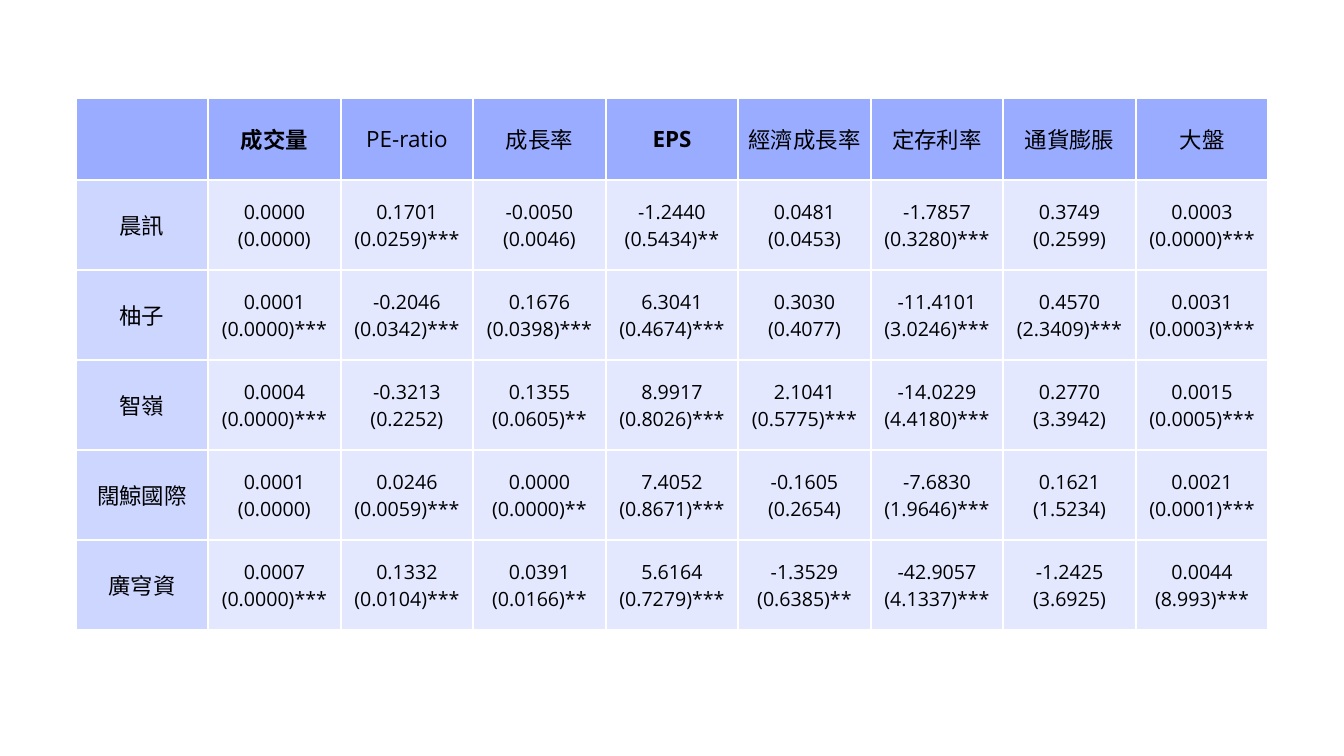
import pptx
import pptx.dml.color
import pptx.enum.text
import pptx.oxml.ns
import pptx.util
from lxml import etree

EMU_PER_PX = 9525
SLIDE_WIDTH, SLIDE_HEIGHT = 1920, 1080
TABLE_TOP, TABLE_WIDTH = 140, 1704
HEADER_HEIGHT, BODY_HEIGHT = 117, 643
FONT = "Open Sans"
COLORS = {
    "header": "99ACFF",
    "company": "CDD6FF",
    "estimate": "E3E8FF",
    "border": "FFFFFF",
    "text": "000000",
}
FACTORS = ["成交量", "PE-ratio", "成長率", "EPS", "經濟成長率", "定存利率", "通貨膨脹", "大盤"]
BOLD_FACTORS = {"成交量", "EPS"}

# Each estimate is a coefficient followed by its standard error.
ESTIMATES = {
    "晨訊": [
        "0.0000 (0.0000)", "0.1701 (0.0259)***", "-0.0050 (0.0046)", "-1.2440 (0.5434)**",
        "0.0481 (0.0453)", "-1.7857 (0.3280)***", "0.3749 (0.2599)", "0.0003 (0.0000)***",
    ],
    "柚子": [
        "0.0001 (0.0000)***", "-0.2046 (0.0342)***", "0.1676 (0.0398)***", "6.3041 (0.4674)***",
        "0.3030 (0.4077)", "-11.4101 (3.0246)***", "0.4570 (2.3409)***", "0.0031 (0.0003)***",
    ],
    "智嶺": [
        "0.0004 (0.0000)***", "-0.3213 (0.2252)", "0.1355 (0.0605)**", "8.9917 (0.8026)***",
        "2.1041 (0.5775)***", "-14.0229 (4.4180)***", "0.2770 (3.3942)", "0.0015 (0.0005)***",
    ],
    "闊鯨國際": [
        "0.0001 (0.0000)", "0.0246 (0.0059)***", "0.0000 (0.0000)**", "7.4052 (0.8671)***",
        "-0.1605 (0.2654)", "-7.6830 (1.9646)***", "0.1621 (1.5234)", "0.0021 (0.0001)***",
    ],
    "廣穹資": [
        "0.0007 (0.0000)***", "0.1332 (0.0104)***", "0.0391 (0.0166)**", "5.6164 (0.7279)***",
        "-1.3529 (0.6385)**", "-42.9057 (4.1337)***", "-1.2425 (3.6925)", "0.0044 (8.993)***",
    ],
}


def px(length):
    return pptx.util.Emu(length * EMU_PER_PX)


def rgb(name):
    return pptx.dml.color.RGBColor.from_string(COLORS[name])


def add_borders(cell):
    properties = cell._tc.get_or_add_tcPr()
    for side in ("lnL", "lnR", "lnT", "lnB"):
        line = etree.SubElement(
            properties, pptx.oxml.ns.qn(f"a:{side}"), w=str(pptx.util.Pt(2.25))
        )
        fill = etree.SubElement(line, pptx.oxml.ns.qn("a:solidFill"))
        etree.SubElement(fill, pptx.oxml.ns.qn("a:srgbClr"), val=COLORS["border"])


def style_cell(cell, color):
    add_borders(cell)
    cell.fill.solid()
    cell.fill.fore_color.rgb = rgb(color)
    cell.margin_left = cell.margin_right = cell.margin_top = cell.margin_bottom = 0
    cell.vertical_anchor = pptx.enum.text.MSO_ANCHOR.MIDDLE


def write_text(frame, lines, size=24, bold=False, color="text"):
    """Write one centred paragraph per line, spaced at 1.4 times the type size."""
    for index, line in enumerate(lines):
        paragraph = frame.add_paragraph() if index else frame.paragraphs[0]
        paragraph.alignment = pptx.enum.text.PP_ALIGN.CENTER
        paragraph.line_spacing = pptx.util.Pt(1.4 * size)
        run = paragraph.add_run()
        run.text = line
        run.font.name = FONT
        run.font.size = pptx.util.Pt(size)
        run.font.bold = bold
        run.font.color.rgb = rgb(color)


def add_grid(slide):
    row_count, column_count = len(ESTIMATES) + 1, len(FACTORS) + 1
    table = slide.shapes.add_table(
        row_count, column_count,
        px((SLIDE_WIDTH - TABLE_WIDTH) // 2), px(TABLE_TOP),
        px(TABLE_WIDTH), px(HEADER_HEIGHT + BODY_HEIGHT),
    ).table
    for column in table.columns:
        column.width = px(TABLE_WIDTH) // column_count
    for row in table.rows:
        row.height = px(BODY_HEIGHT) // len(ESTIMATES)
    table.rows[0].height = px(HEADER_HEIGHT)
    return table


def fill_header(table):
    style_cell(table.cell(0, 0), "header")
    for column, factor in enumerate(FACTORS, 1):
        cell = table.cell(0, column)
        style_cell(cell, "header")
        write_text(cell.text_frame, [factor], bold=factor in BOLD_FACTORS)


def fill_company_row(table, row, company, estimates):
    name_cell = table.cell(row, 0)
    style_cell(name_cell, "company")
    write_text(name_cell.text_frame, [company])
    for column, estimate in enumerate(estimates, 1):
        cell = table.cell(row, column)
        style_cell(cell, "estimate")
        write_text(cell.text_frame, estimate.split(), size=21)


def main():
    presentation = pptx.Presentation()
    presentation.slide_width = px(SLIDE_WIDTH)
    presentation.slide_height = px(SLIDE_HEIGHT)
    slide = presentation.slides.add_slide(presentation.slide_layouts[6])
    table = add_grid(slide)
    fill_header(table)
    for row, (company, estimates) in enumerate(ESTIMATES.items(), 1):
        fill_company_row(table, row, company, estimates)
    presentation.save("out.pptx")


if __name__ == "__main__":
    main()
